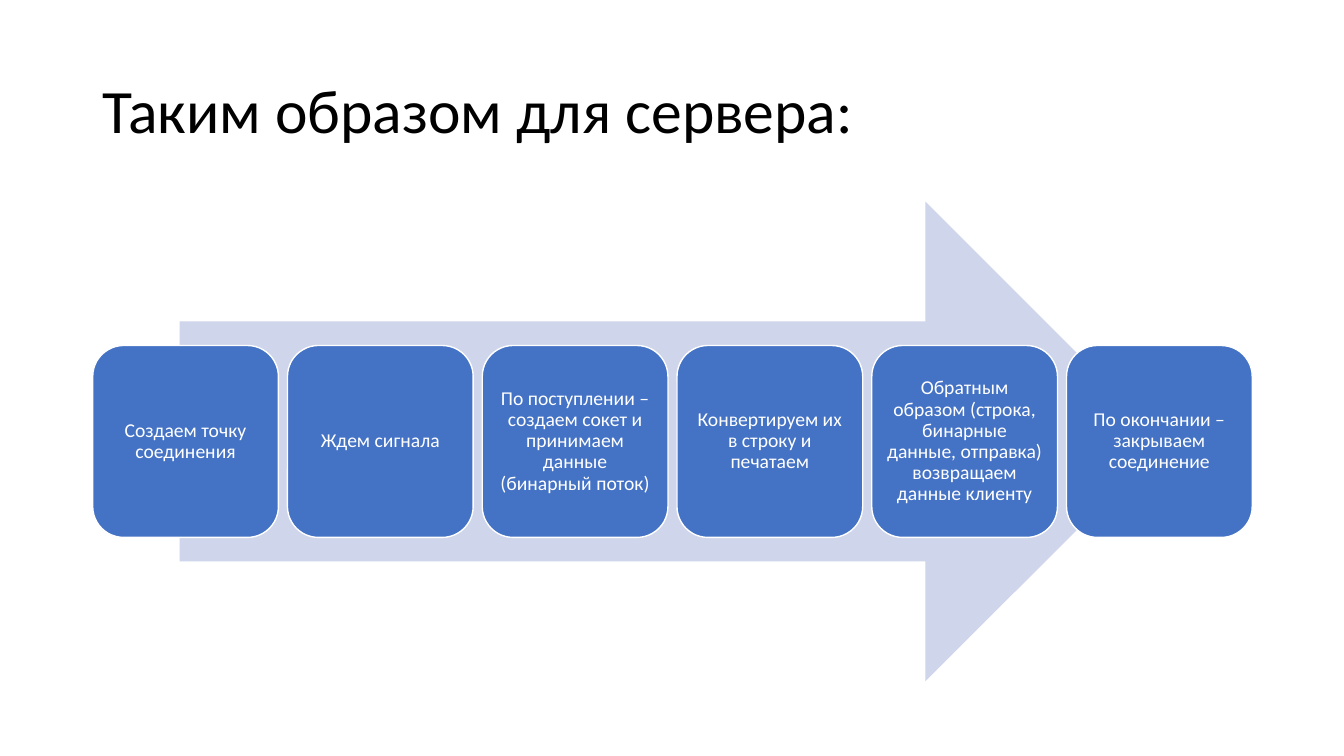
from pptx import Presentation
from pptx.dml.color import RGBColor
from pptx.enum.shapes import MSO_SHAPE as Shape
from pptx.enum.text import MSO_ANCHOR as Anchor, PP_ALIGN as Align
from pptx.util import Inches, Pt

FONT = "Calibri"
STEPS = [
    "Создаем точку соединения",
    "Ждем сигнала",
    "По поступлении – создаем сокет и принимаем данные (бинарный поток)",
    "Конвертируем их в строку и печатаем",
    "Обратным образом (строка, бинарные данные, отправка) возвращаем данные клиенту",
    "По окончании – закрываем соединение",
]


def color(hex_code):
    return RGBColor.from_string(hex_code)


def write(frame, text, size, hex_code, align):
    frame.word_wrap = True
    frame.vertical_anchor = Anchor.MIDDLE
    paragraph = frame.paragraphs[0]
    paragraph.alignment = align
    paragraph.line_spacing = 0.9
    run = paragraph.add_run()
    run.text = text
    run.font.name = FONT
    run.font.size = Pt(size)
    run.font.color.rgb = color(hex_code)


def add_block(slide, kind, left, top, width, height, fill):
    block = slide.shapes.add_shape(
        kind, Inches(left), Inches(top), Inches(width), Inches(height))
    block.shadow.inherit = False
    block.fill.solid()
    block.fill.fore_color.rgb = color(fill)
    block.line.fill.background()
    return block


def add_heading(slide, left, top, width, height, text):
    heading = slide.shapes.title
    heading.left, heading.top = Inches(left), Inches(top)
    heading.width, heading.height = Inches(width), Inches(height)
    write(heading.text_frame, text, 44, "000000", Align.LEFT)


def add_process(slide, left, top, width, height, steps):
    # Background arrow, centred across 85 % of the box
    arrow_width = 0.85 * width
    add_block(slide, Shape.RIGHT_ARROW, left + (width - arrow_width) / 2, top,
              arrow_width, height, "CFD5EA")

    # Step cards, evenly spaced along the middle of the arrow
    gap = 0.09
    card_width = (width - gap * (len(steps) - 1)) / len(steps)
    card_height = 0.4 * height
    card_top = top + (height - card_height) / 2
    for index, step in enumerate(steps):
        card = add_block(slide, Shape.ROUNDED_RECTANGLE,
                         left + index * (card_width + gap), card_top,
                         card_width, card_height, "4472C4")
        card.line.color.rgb = color("FFFFFF")
        card.line.width = Pt(1)
        frame = card.text_frame
        frame.margin_left = frame.margin_right = Inches(0.06)
        frame.margin_top = frame.margin_bottom = Inches(0.06)
        write(frame, step, 14, "FFFFFF", Align.CENTER)


prs = Presentation()
prs.slide_width, prs.slide_height = Inches(13.33), Inches(7.5)
server_slide = prs.slides.add_slide(prs.slide_layouts[5])
add_heading(server_slide, 0.92, 0.4, 11.5, 1.45, "Таким образом для сервера:")
add_process(server_slide, 0.92, 2, 11.5, 4.76, STEPS)
prs.save("out.pptx")
